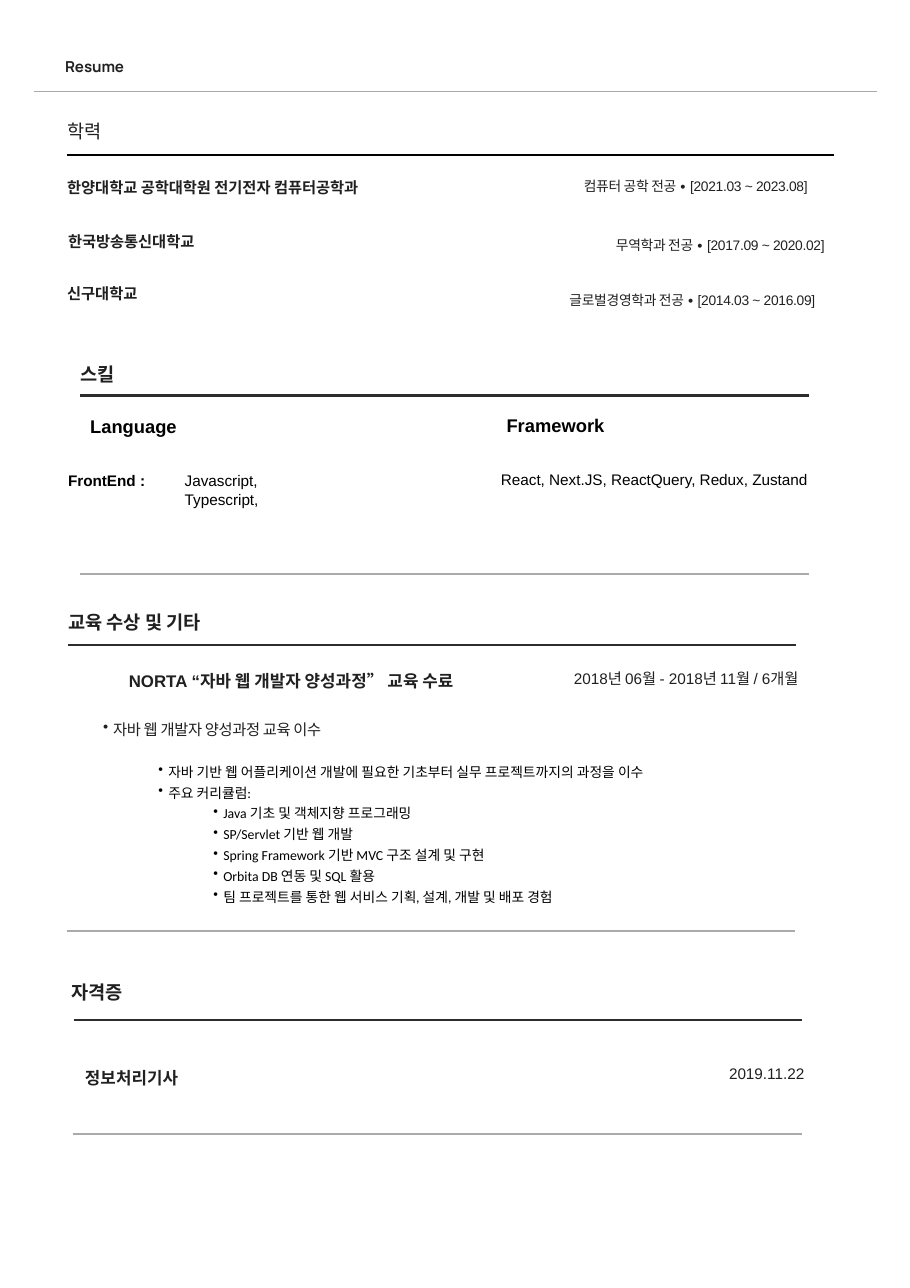
from lxml import etree
from pptx import Presentation
from pptx.dml.color import RGBColor
from pptx.enum.shapes import MSO_CONNECTOR
from pptx.enum.text import MSO_ANCHOR, MSO_AUTO_SIZE, PP_ALIGN
from pptx.oxml.ns import qn
from pptx.util import Cm, Pt

STRAIGHT = MSO_CONNECTOR.STRAIGHT
TOP = MSO_ANCHOR.TOP
GROW = MSO_AUTO_SIZE.SHAPE_TO_FIT_TEXT
LEFT, RIGHT = PP_ALIGN.LEFT, PP_ALIGN.RIGHT
COLORS = {"ink": "202020", "black": "000000", "dark": "2E2D2C", "gray": "ACAAA8"}

HEADING = dict(size=12.2, bold=True, spacing=17.6)
ENTRY = dict(size=11, bold=True, spacing=15.8)
DATE = dict(size=10, spacing=11.5, align=RIGHT)
SCHOOL = dict(size=10, bold=True, spacing=19)
MAJOR = dict(size=9, spacing=15.2, tracking=-20)
SKILL = dict(size=10, color="black", inset=None)
SKILL_HEAD = dict(size=12, bold=True, color="black", inset=None)

RULES = [
    (0.79, 20.22, 2.11, "gray", 0.75),
    (1.55, 19.23, 3.58, "black", 1.5),
    (1.85, 18.64, 9.12, "dark", 1.5),
    (1.85, 18.64, 13.23, "gray", 0.75),
    (1.57, 18.36, 14.86, "dark", 1.5),
    (1.55, 18.34, 21.46, "gray", 0.75),
    (1.7, 18.49, 23.52, "dark", 1.5),
    (1.68, 18.49, 26.14, "gray", 0.75),
]
TEXTS = [
    ("학력", (1.55, 2.67, 3.23, 0.58), {**HEADING, "bold": False}),
    ("스킬", (1.85, 8.26, 5.28, 0.61), HEADING),
    ("교육 수상 및 기타", (1.57, 13.97, 5.28, 0.61), HEADING),
    ("자격증", (1.65, 22.5, 5.28, 0.61), HEADING),
    ("한양대학교 공학대학원 전기전자 컴퓨터공학과", (1.55, 3.86, 7.65, 0.58), SCHOOL),
    ("한국방송통신대학교", (1.57, 5.11, 5.74, 0.58), SCHOOL),
    ("신구대학교", (1.55, 6.3, 5.74, 0.58), SCHOOL),
    ("컴퓨터 공학 전공 ∙ [2021.03 ~ 2023.08]", (13.46, 3.94, 5.54, 0.48), MAJOR),
    ("무역학과 전공 ∙ [2017.09 ~ 2020.02]", (14.2, 5.31, 5.33, 0.48), MAJOR),
    ("글로벌경영학과 전공 ∙ [2014.03 ~ 2016.09]", (13.13, 6.58, 6.32, 0.48), MAJOR),
    ("Language", (1.83, 9.45, 3.73, 0.76), SKILL_HEAD),
    ("Framework", (11.43, 9.42, 3.73, 0.76), SKILL_HEAD),
    ("FrontEnd :", (1.32, 10.74, 2.41, 0.69), {**SKILL, "bold": True}),
    ("Javascript, Typescript,", (4.01, 10.74, 3.96, 0.69), SKILL),
    ("React, Next.JS, ReactQuery, Redux, Zustand", (11.3, 10.72, 8.05, 0.69), SKILL),
    ("NORTA “자바 웹 개발자 양성과정” 교육 수료", (2.97, 15.37, 10.06, 0.53), ENTRY),
    ("2018년 06월 - 2018년 11월 / 6개월", (12.67, 15.44, 5.74, 0.43), DATE),
    ("정보처리기사", (1.96, 24.51, 10.06, 0.53), ENTRY),
    ("2019.11.22", (12.8, 24.54, 5.74, 0.43), DATE),
]
COURSE = [
    (1, "자바 웹 개발자 양성과정 교육 이수"),
    (2, "자바 기반 웹 어플리케이션 개발에 필요한 기초부터 실무 프로젝트까지의 과정을 이수"),
    (2, "주요 커리큘럼:"),
    (3, "Java 기초 및 객체지향 프로그래밍"),
    (3, "SP/Servlet 기반 웹 개발"),
    (3, "Spring Framework 기반 MVC 구조 설계 및 구현"),
    (3, "Orbita DB 연동 및 SQL 활용"),
    (3, "팀 프로젝트를 통한 웹 서비스 기획, 설계, 개발 및 배포 경험"),
]


def write(p, text, size=10, font="Arial", color="ink", bold=False,
          spacing=None, align=LEFT, tracking=0):
    """Write one formatted run into a paragraph."""
    p.alignment = align
    if spacing:
        p.line_spacing = Pt(spacing)
    r = p.add_run()
    r.text = text
    r.font.size = Pt(size)
    r.font.name = font
    r.font.bold = bold
    r.font.color.rgb = RGBColor.from_string(COLORS[color])
    if tracking:
        r._r.get_or_add_rPr().set("spc", str(tracking))


def set_frame(sp, inset=0):
    """Prepare a wrapping, top-anchored text frame."""
    tf = sp.text_frame
    tf.word_wrap = True
    tf.auto_size = GROW
    tf.vertical_anchor = TOP
    if inset is not None:
        tf.margin_left = tf.margin_top = tf.margin_right = tf.margin_bottom = Cm(inset)
    return tf


def add_text(s, text, box, inset=0, **style):
    """Add a text box with one paragraph."""
    sp = s.shapes.add_textbox(*map(Cm, box))
    write(set_frame(sp, inset).paragraphs[0], text, **style)


def add_title(s, text):
    """Place and format the title placeholder."""
    sp = s.shapes.title
    sp.left, sp.top, sp.width, sp.height = map(Cm, (1.5, 1.27, 9.55, 0.46))
    write(set_frame(sp).paragraphs[0], text, size=9.9, font="Manrope",
          bold=True, spacing=13.2)


def add_rule(s, left, right, y, color, width):
    """Add a horizontal rule."""
    line = s.shapes.add_connector(STRAIGHT, Cm(left), Cm(y), Cm(right), Cm(y))
    line.line.color.rgb = RGBColor.from_string(COLORS[color])
    line.line.width = Pt(width)
    etree.SubElement(line._element.spPr, qn("a:effectLst"))


def add_bullets(s, items, box):
    """Add a multi-level bulleted list."""
    tf = set_frame(s.shapes.add_textbox(*map(Cm, box)))
    for i, (level, text) in enumerate(items):
        p = tf.add_paragraph() if i else tf.paragraphs[0]
        p.level = level
        pPr = p._p.get_or_add_pPr()
        pPr.set("marL", str(Cm(0.48 + 1.27 * (level - 1))))
        pPr.set("indent", str(Cm(-0.23)))
        etree.SubElement(pPr, qn("a:buChar"), char="•")
        if i == 1:
            p.space_before = Pt(13.6)
        if level == 1:
            write(p, text, size=10, spacing=13.6, tracking=-20)
        else:
            write(p, text, size=9, font="Calibri", color="black", spacing=13.6)


def main():
    """Build the resume slide."""
    prs = Presentation()
    prs.slide_width, prs.slide_height = Cm(20.98), Cm(29.69)
    s = prs.slides.add_slide(prs.slide_layouts[5])
    add_title(s, "Resume")
    for rule in RULES:
        add_rule(s, *rule)
    for text, box, style in TEXTS:
        add_text(s, text, box, **style)
    add_bullets(s, COURSE, (2.13, 16.54, 16.23, 4.93))
    prs.save("out.pptx")


if __name__ == "__main__":
    main()
